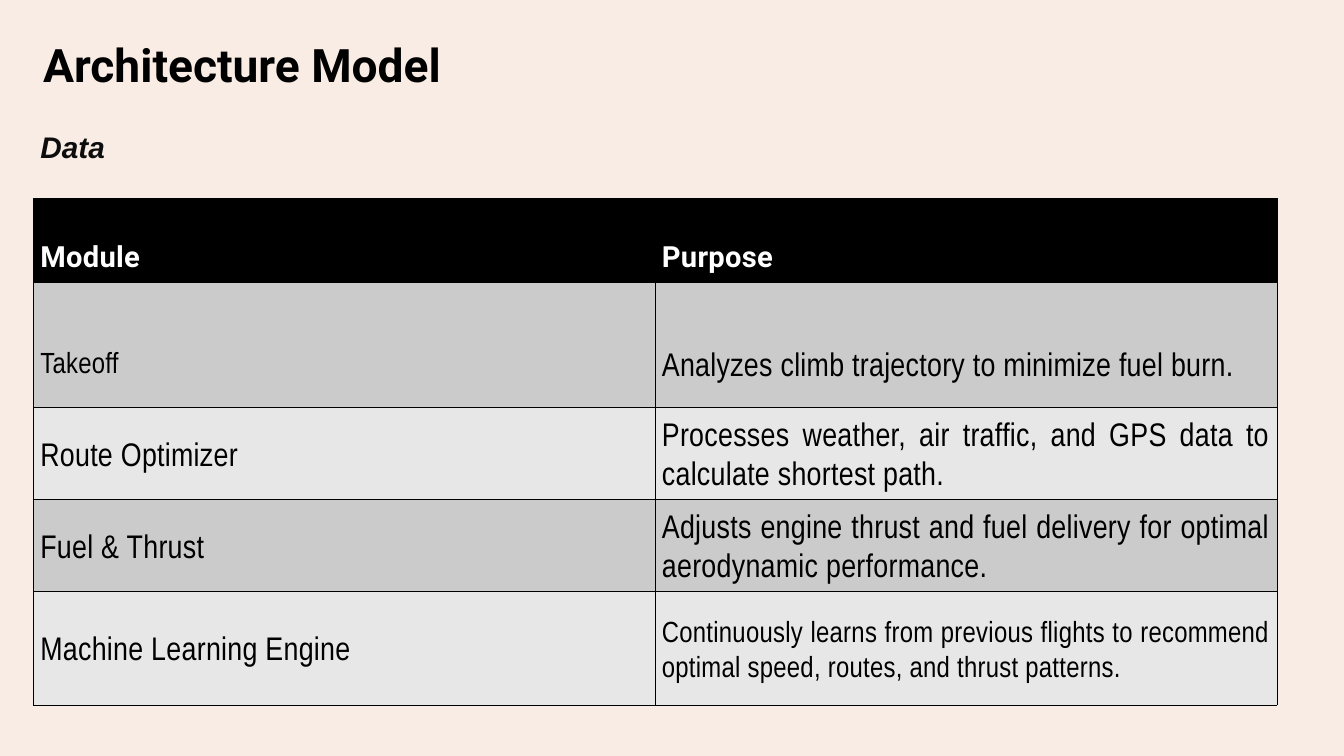
import dataclasses

import pptx
import pptx.dml.color
import pptx.enum.text
import pptx.oxml
import pptx.oxml.ns
import pptx.util

Inches = pptx.util.Inches
Pt = pptx.util.Pt
ALIGN = pptx.enum.text.PP_ALIGN
ANCHOR = pptx.enum.text.MSO_ANCHOR


@dataclasses.dataclass(frozen=True)
class TextStyle:
    font: str
    size: float
    leading: float
    color: str = "000000"
    bold: bool = False
    italic: bool = False
    tracking: float = 0


@dataclasses.dataclass(frozen=True)
class Theme:
    background: str = "F8ECE4"
    header_fill: str = "000000"
    row_fills: tuple = ("CBCBCB", "E7E7E7")
    border: str = "000000"
    border_width: float = 0.37
    cell_margin: float = 0.1
    title: TextStyle = TextStyle("Roboto", 49.4, 59.2, bold=True)
    subtitle: TextStyle = TextStyle("Arial", 31.9, 38.2, "0D0D0D", bold=True, italic=True)
    header: TextStyle = TextStyle("Roboto", 31.2, 37.5, "FFFFFF", bold=True, tracking=0.3)
    small: TextStyle = TextStyle("Arial Narrow", 31.2, 37.5, tracking=0.3)
    large: TextStyle = TextStyle("Arial Narrow", 35, 42, tracking=0.3)


def rgb(color):
    return pptx.dml.color.RGBColor.from_string(color)


class SlideBuilder:
    """Holds the theme and the slide being filled."""

    def __init__(self, slide, theme):
        self.slide = slide
        self.theme = theme

    def background(self):
        fill = self.slide.background.fill
        fill.solid()
        fill.fore_color.rgb = rgb(self.theme.background)

    def styled_text(self, frame, text, style, align=ALIGN.LEFT):
        frame.text = text
        para = frame.paragraphs[0]
        para.alignment = align
        para.line_spacing = Pt(style.leading)
        for span in para.runs:
            span.font.name = style.font
            span.font.size = Pt(style.size)
            span.font.bold = style.bold
            span.font.italic = style.italic
            span.font.color.rgb = rgb(style.color)
            if style.tracking:
                span.font._element.set("spc", str(round(style.tracking * 100)))

    def label(self, box, text, style, left, top, width, height):
        box.left, box.top = Inches(left), Inches(top)
        box.width, box.height = Inches(width), Inches(height)
        frame = box.text_frame
        frame.margin_left = frame.margin_right = 0
        frame.margin_top = frame.margin_bottom = 0
        frame.vertical_anchor = ANCHOR.TOP
        frame.auto_size = pptx.enum.text.MSO_AUTO_SIZE.NONE
        frame.word_wrap = True
        self.styled_text(frame, text, style)

    def title(self, text, *place):
        self.label(self.slide.shapes.title, text, self.theme.title, *place)

    def subtitle(self, text, *place):
        box = self.slide.shapes.add_textbox(0, 0, 0, 0)
        self.label(box, text, self.theme.subtitle, *place)

    def cell_borders(self, cell):
        properties = cell._tc.get_or_add_tcPr()
        for side in ("lnL", "lnR", "lnT", "lnB"):
            properties.append(pptx.oxml.parse_xml(
                f'<a:{side} {pptx.oxml.ns.nsdecls("a")} w="{Pt(self.theme.border_width)}">'
                f'<a:solidFill><a:srgbClr val="{self.theme.border}"/></a:solidFill></a:{side}>'
            ))

    def cell(self, cell, text, style, fill, align, lowered):
        """A lowered cell keeps one line of its leading free above the text."""
        margin = Inches(self.theme.cell_margin)
        cell.margin_left = cell.margin_right = cell.margin_bottom = margin
        cell.margin_top = margin + (Pt(style.leading) if lowered else 0)
        cell.vertical_anchor = ANCHOR.MIDDLE
        self.cell_borders(cell)
        cell.fill.solid()
        cell.fill.fore_color.rgb = rgb(fill)
        self.styled_text(cell.text_frame, text, style, align)

    def table(self, rows, heights, left, top, width):
        columns = len(rows[0])
        table = self.slide.shapes.add_table(
            len(rows), columns, Inches(left), Inches(top), Inches(width), Inches(sum(heights))
        ).table
        for column in table.columns:
            column.width = Inches(width / columns)
        for row_index, (row, height) in enumerate(zip(rows, heights)):
            table.rows[row_index].height = Inches(height)
            is_header = row_index == 0
            fill = self.theme.header_fill if is_header else self.theme.row_fills[(row_index - 1) % 2]
            for column_index, (text, style) in enumerate(row):
                justified = column_index == 1 and not is_header
                self.cell(
                    table.cell(row_index, column_index), text, style, fill,
                    ALIGN.JUSTIFY if justified else ALIGN.LEFT, lowered=row_index < 2,
                )


def main():
    deck = pptx.Presentation()
    deck.slide_width, deck.slide_height = Inches(20), Inches(11.25)
    theme = Theme()
    title_only = deck.slide_layouts[5]
    page = SlideBuilder(deck.slides.add_slide(title_only), theme)

    page.background()
    page.title("Architecture Model", 0.64, 0.55, 7.06, 0.84)
    page.subtitle("Data", 0.6, 1.91, 1.11, 0.63)

    modules = [
        [("Module", theme.header), ("Purpose", theme.header)],
        [("Takeoff", theme.small),
         ("Analyzes climb trajectory to minimize fuel burn.", theme.large)],
        [("Route Optimizer", theme.large),
         ("Processes weather, air traffic, and GPS data to calculate shortest path.", theme.large)],
        [("Fuel & Thrust", theme.large),
         ("Adjusts engine thrust and fuel delivery for optimal aerodynamic performance.",
          theme.large)],
        [("Machine Learning Engine", theme.large),
         ("Continuously learns from previous flights to recommend optimal speed, routes, "
          "and thrust patterns.", theme.small)],
    ]
    page.table(modules, [1.24, 1.87, 1.37, 1.37, 1.69], 0.5, 2.95, 18.5)
    deck.save("out.pptx")


if __name__ == "__main__":
    main()
